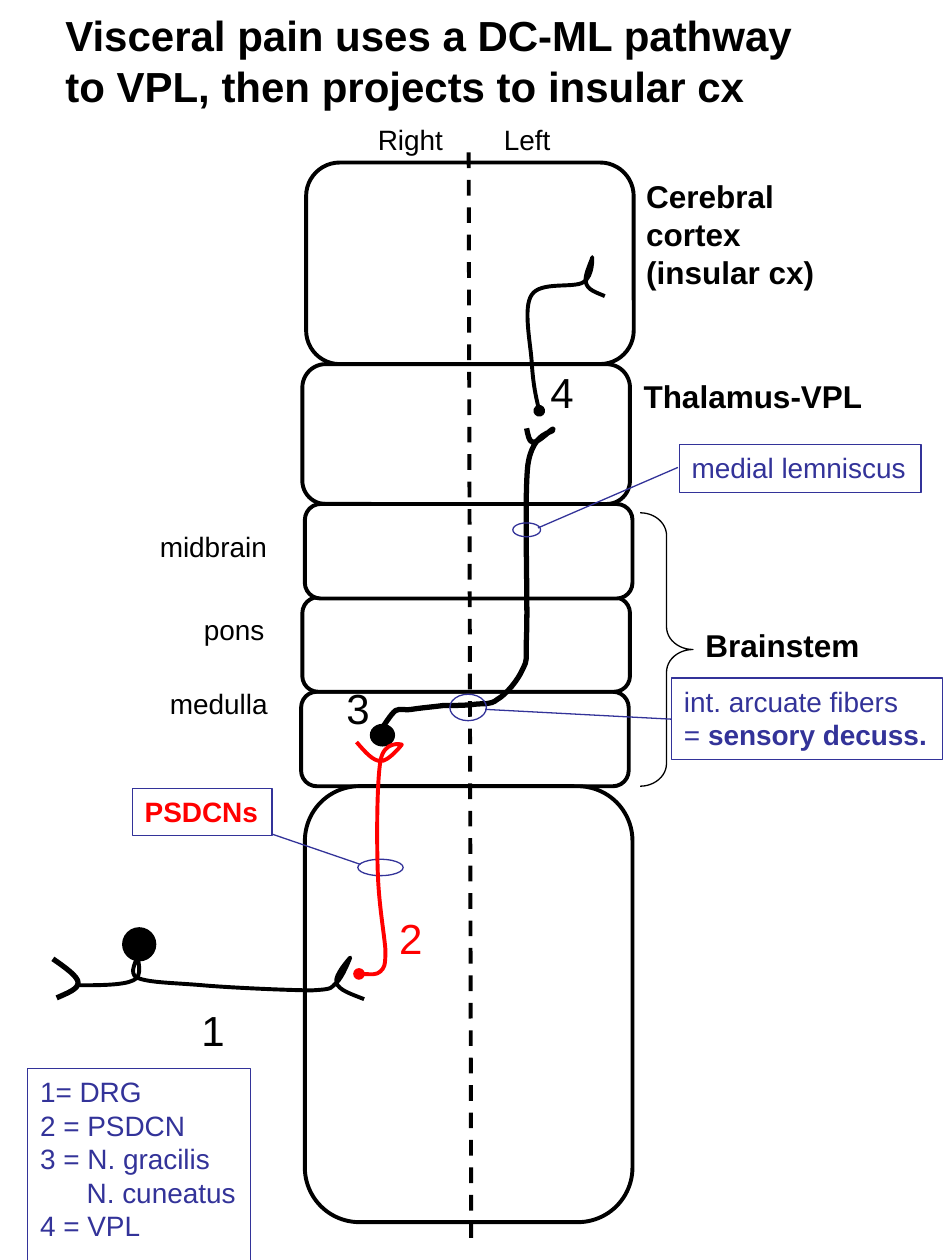
"""Build the slide on the visceral pain pathway from spinal cord to insular cortex."""
from dataclasses import dataclass
from typing import Optional

from lxml.etree import SubElement
from pptx import Presentation
from pptx.dml.color import RGBColor
from pptx.enum.dml import MSO_LINE
from pptx.enum.shapes import MSO_CONNECTOR, MSO_SHAPE as SHAPE
from pptx.enum.text import MSO_ANCHOR, PP_ALIGN
from pptx.oxml.ns import qn
from pptx.util import Inches, Pt

BLACK = RGBColor(0x00, 0x00, 0x00)
WHITE = RGBColor(0xFF, 0xFF, 0xFF)
RED = RGBColor(0xFF, 0x00, 0x00)
BLUE = RGBColor(0x33, 0x33, 0x99)
FONT = "Arial"
Point = tuple[float, float]
Box = tuple[float, float, float, float]


@dataclass
class Line:
    """One paragraph, its runs given as (text, bold) pairs."""
    runs: list[tuple[str, bool]]
    indent: float = 0
    tab: float = 0


@dataclass
class Label:
    """Text in a box, with an optional fill and border."""
    box: Box
    lines: list[Line]
    size: int = 16
    color: RGBColor = BLACK
    fill: Optional[RGBColor] = None
    border: Optional[RGBColor] = None


@dataclass
class Neuron:
    """A curved fibre: a start point followed by Bezier triples."""
    points: list[Point]
    color: RGBColor = BLACK
    width: float = 2.25
    cell_end: str = ""


def plain(*texts: str, bold: bool = False) -> list[Line]:
    """Make one single-run line per text."""
    return [Line([(text, bold)]) for text in texts]


def add_shape(s, kind, box: Box, fill=None, line=None, width: float = 0.75):
    """Add a preset shape without shadow."""
    sp = s.shapes.add_shape(kind, *map(Inches, box))
    sp.shadow.inherit = False
    if fill is None:
        sp.fill.background()
    else:
        sp.fill.solid()
        sp.fill.fore_color.rgb = fill
    if line is None:
        sp.line.fill.background()
    else:
        sp.line.color.rgb = line
        sp.line.width = Pt(width)
    return sp


def add_label(s, label: Label) -> None:
    """Add a label; bordered ones hug their text."""
    if label.fill is None and label.border is None:
        sp = s.shapes.add_textbox(*map(Inches, label.box))
    else:
        sp = add_shape(s, SHAPE.RECTANGLE, label.box, label.fill, label.border)
    tf = sp.text_frame
    tf.word_wrap = label.border is None
    tf.vertical_anchor = MSO_ANCHOR.TOP
    for i, line in enumerate(label.lines):
        p = tf.paragraphs[0] if i == 0 else tf.add_paragraph()
        p.alignment = PP_ALIGN.LEFT
        pPr = p._p.get_or_add_pPr()
        if line.indent:
            pPr.set("marL", str(Inches(line.indent)))
            pPr.set("indent", "0")
        if line.tab:
            tabs = SubElement(pPr, qn("a:tabLst"))
            SubElement(tabs, qn("a:tab"), pos=str(Inches(line.tab)), algn="l")
        for text, bold in line.runs:
            r = p.add_run()
            r.text = text
            r.font.name, r.font.size, r.font.bold = FONT, Pt(label.size), bold
            r.font.color.rgb = label.color


def add_line(s, start: Point, end: Point, color=BLUE, width: float = 0.75):
    """Add a straight connector without shadow."""
    cn = s.shapes.add_connector(MSO_CONNECTOR.STRAIGHT, *map(Inches, start + end))
    cn.line.color.rgb = color
    cn.line.width = Pt(width)
    SubElement(cn._element.spPr, qn("a:effectLst"))
    return cn


def add_neuron(s, neuron: Neuron) -> None:
    """Draw a fibre, turning each three line steps into one Bezier curve."""
    points = [(Inches(x), Inches(y)) for x, y in neuron.points]
    builder = s.shapes.build_freeform(*points[0])
    builder.add_line_segments(points[1:], close=False)
    sp = builder.convert_to_shape()
    sp.shadow.inherit = False
    sp.fill.background()
    sp.line.color.rgb = neuron.color
    sp.line.width = Pt(neuron.width)
    path = next(sp._element.iter(qn("a:path")))
    steps = path.findall(qn("a:lnTo"))
    for i in range(0, len(steps), 3):
        curve = SubElement(path, qn("a:cubicBezTo"))
        for step in steps[i:i + 3]:
            curve.append(step[0])
            path.remove(step)
    if neuron.cell_end:
        SubElement(sp.line._get_or_add_ln(), qn(f"a:{neuron.cell_end}"), type="oval")


def callout(s, ring: Box, start: Point, end: Point, label: Label) -> None:
    """Ring a tract and lead a line to its name."""
    add_shape(s, SHAPE.OVAL, ring, line=BLUE)
    add_line(s, start, end)
    add_label(s, label)


LEVELS = [(2.43, 1.29, 2.6, 1.6), (2.4, 2.89, 2.6, 1.11), (2.39, 5.49, 2.6, 0.75),
          (2.42, 6.24, 2.6, 3.46), (2.4, 4.74, 2.6, 0.75), (2.42, 4, 2.6, 0.75)]
REGIONS = [
    Label((2.72, 0.92, 2.61, 0.4), [Line([("Right\tLeft", False)], 0.18, 1.07)]),
    Label((5.5, 4.92, 1.96, 1), plain("Brainstem", bold=True), 18, fill=WHITE),
    Label((5.01, 2.94, 2.3, 1), plain("Thalamus-VPL", bold=True), 18),
    Label((5.03, 1.36, 1.81, 1), plain("Cerebral", "cortex", "(insular cx)", bold=True), 18),
    Label((1.25, 5.4, 1.23, 1), plain("medulla")),
    Label((1.52, 4.81, 1.23, 1), plain("pons")),
    Label((1.17, 4.15, 1.23, 1), plain("midbrain")),
]
SKIN_ENDING = Neuron([(0.42, 7.61), (0.52, 7.68), (0.62, 7.75), (0.62, 7.8),
                      (0.62, 7.85), (0.54, 7.88), (0.45, 7.92)], width=3)
LEMNISCUS = Neuron([
    (3.03, 5.78), (3.05, 5.76), (3.1, 5.67), (3.14, 5.64), (3.18, 5.62), (3.2, 5.64),
    (3.27, 5.63), (3.33, 5.62), (3.44, 5.61), (3.52, 5.6), (3.6, 5.6), (3.7, 5.6),
    (3.77, 5.59), (3.84, 5.58), (3.89, 5.6), (3.95, 5.55), (4.02, 5.51), (4.11, 5.4),
    (4.15, 5.31), (4.19, 5.22), (4.17, 5.29), (4.18, 5.02), (4.19, 4.75), (4.16, 3.95),
    (4.19, 3.69), (4.23, 3.42), (4.39, 3.44), (4.39, 3.41), (4.4, 3.38), (4.27, 3.52),
    (4.23, 3.51), (4.2, 3.51), (4.19, 3.45), (4.18, 3.4)], width=3)
THALAMIC = Neuron([
    (4.28, 3.26), (4.25, 3.14), (4.23, 3.03), (4.22, 2.87), (4.21, 2.72), (4.15, 2.44),
    (4.22, 2.34), (4.29, 2.23), (4.55, 2.29), (4.63, 2.24), (4.71, 2.19), (4.7, 2.04),
    (4.7, 2.04), (4.71, 2.04), (4.63, 2.19), (4.65, 2.24), (4.66, 2.3), (4.73, 2.32),
    (4.8, 2.35)], cell_end="headEnd")
SENSORY = Neuron([
    (0.61, 7.82), (0.79, 7.82), (0.98, 7.82), (1.06, 7.78), (1.14, 7.75), (1.09, 7.6),
    (1.09, 7.6), (1.1, 7.59), (1.01, 7.73), (1.09, 7.76), (1.18, 7.8), (1.38, 7.8),
    (1.61, 7.82), (1.84, 7.84), (2.31, 7.86), (2.48, 7.86), (2.66, 7.85), (2.62, 7.84),
    (2.67, 7.8), (2.72, 7.76), (2.78, 7.6), (2.78, 7.6), (2.78, 7.6), (2.65, 7.74),
    (2.67, 7.8), (2.69, 7.86), (2.79, 7.89), (2.89, 7.93)])
PSDCN = Neuron([
    (2.83, 5.89), (2.9, 5.97), (2.96, 6.04), (3.02, 6.04), (3.08, 6.05), (3.19, 5.91),
    (3.19, 5.91), (3.19, 5.91), (3.05, 5.87), (3.02, 6.04), (2.99, 6.22), (2.99, 6.7),
    (3, 6.95), (3.01, 7.2), (3.05, 7.41), (3.06, 7.54), (3.06, 7.67), (3.05, 7.68),
    (3.02, 7.71), (2.99, 7.74), (2.92, 7.73), (2.85, 7.73)], RED, cell_end="tailEnd")
KEY = (plain("1= DRG", "2 = PSDCN", "3 = N. gracilis")
       + [Line([("N. cuneatus", False)], 0.37)] + plain("4 = VPL"))
NUMBERS = [("1", 1.5, 7.92, BLACK), ("2", 3.07, 7.19, RED),
           ("3", 2.65, 5.37, BLACK), ("4", 4.27, 2.86, BLACK)]
TITLE = [Line([(text, True)], 0.18) for text in (
    "Visceral pain uses a DC-ML pathway", "to VPL, then projects to insular cx")]


def main() -> None:
    """Draw the slide and save it."""
    prs = Presentation()
    prs.slide_width, prs.slide_height = Inches(7.5), Inches(10)
    s = prs.slides.add_slide(prs.slide_layouts[6])
    for box in LEVELS:
        add_shape(s, SHAPE.ROUNDED_RECTANGLE, box, WHITE, BLACK, 2.25)
    for region in REGIONS:
        add_label(s, region)
    add_line(s, (3.72, 1.21), (3.74, 9.83), BLACK, 2.25).line.dash_style = MSO_LINE.DASH
    brace = add_shape(s, SHAPE.RIGHT_BRACE, (5.08, 4.07, 0.42, 2.17), line=BLACK)
    brace.adjustments[0] = 0.43
    add_neuron(s, SKIN_ENDING)
    add_shape(s, SHAPE.OVAL, (0.99, 7.38, 0.23, 0.23), BLACK, BLACK, 3)
    add_shape(s, SHAPE.OVAL, (2.94, 5.75, 0.19, 0.17), BLACK, BLACK)
    add_neuron(s, LEMNISCUS)
    callout(s, (2.84, 6.82, 0.36, 0.13), (2.13, 6.61), (2.86, 6.86),
            Label((1.05, 6.26, 1.11, 0.37), plain("PSDCNs", bold=True), 16, RED, WHITE, BLUE))
    callout(s, (3.57, 5.51, 0.29, 0.21), (3.85, 5.63), (5.37, 5.71),
            Label((5.33, 5.38, 2.15, 0.65), plain("int. arcuate fibers")
                  + [Line([("= ", False), ("sensory decuss.", True)])], 16, BLUE, WHITE, BLUE))
    callout(s, (4.07, 4.15, 0.22, 0.11), (4.27, 4.19), (5.38, 3.71),
            Label((5.39, 3.53, 1.92, 0.38), plain("medial lemniscus"), 16, BLUE, None, BLUE))
    add_label(s, Label((0.22, 8.48, 1.77, 1.72), KEY, 16, BLUE, WHITE, BLUE))
    for neuron in (THALAMIC, SENSORY, PSDCN):
        add_neuron(s, neuron)
    for digit, x, y, color in NUMBERS:
        add_label(s, Label((x, y, 0.39, 0.5), plain(digit), 24, color))
    add_label(s, Label((0.24, 0.03, 6.22, 0.91), TITLE, 24))
    prs.save("out.pptx")


if __name__ == "__main__":
    main()
